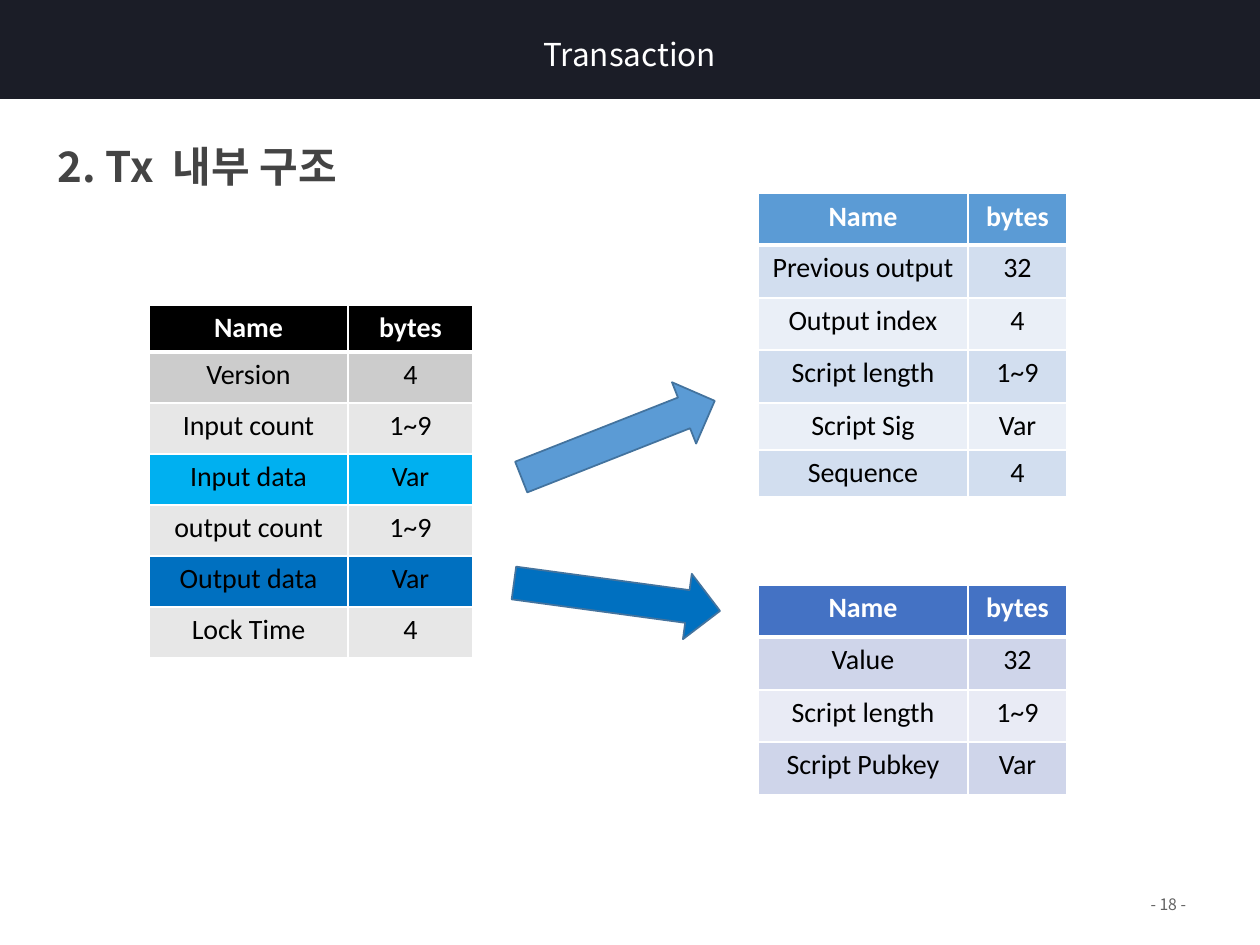
from pptx import Presentation
from pptx import util as u
from pptx.dml.color import RGBColor
from pptx.enum import shapes, text
from pptx.oxml import parse_xml
from pptx.oxml.ns import nsdecls, qn

SANS = "Noto Sans CJK KR"
BODY = "Calibri"
HEADER = ("Name", "bytes")

# left, top, column widths, row heights, header fill, banding fills, special row fills, rows
TABLES = [
    (149, 305, (199, 125), (47,) + (51,) * 6, "000000", ("CCCCCC", "E7E7E7"),
     {"Input data": "00B0F0", "Output data": "0070C0"},
     [("Version", "4"), ("Input count", "1~9"), ("Input data", "Var"),
      ("output count", "1~9"), ("Output data", "Var"), ("Lock Time", "4")]),
    (758, 193, (210, 99), (52, 53, 52, 53, 46, 46), "5B9BD5", ("D2DEEF", "EAEFF7"), {},
     [("Previous output", "32"), ("Output index", "4"), ("Script length", "1~9"),
      ("Script Sig", "Var"), ("Sequence", "4")]),
    (758, 585, (210, 99), (52, 53, 52, 53), "4472C4", ("CFD5EA", "E9EBF5"), {},
     [("Value", "32"), ("Script length", "1~9"), ("Script Pubkey", "Var")]),
]
# left, top, rotation, fill
ARROWS = [(514, 406, 338.5, "5B9BD5"), (513, 564, 7.7, "0070C0")]


def px(n):
    return u.Emu(round(n * 914400 / 126))


def rgb(hex_):
    return RGBColor.from_string(hex_)


def add_run(p, words, size, font, color, bold=False):
    r = p.add_run()
    r.text = words
    f = r.font
    f.size, f.name, f.bold = u.Pt(size), font, bold
    f.color.rgb = rgb(color)
    r._r.get_or_add_rPr().append(
        parse_xml(f'<a:ea {nsdecls("a")} typeface="{font}"/>'))
    return r


def set_frame(sp, anchor):
    """Strip margins and autofit, and return the first paragraph."""
    tf = sp.text_frame
    tf.word_wrap, tf.auto_size, tf.vertical_anchor = True, text.MSO_AUTO_SIZE.NONE, anchor
    tf.margin_left = tf.margin_top = tf.margin_right = tf.margin_bottom = 0
    return tf.paragraphs[0]


def add_box(slide, x, y, w, h, anchor=text.MSO_ANCHOR.TOP):
    return set_frame(slide.shapes.add_textbox(px(x), px(y), px(w), px(h)), anchor)


def add_shape(slide, kind, x, y, w, h, fill):
    sp = slide.shapes.add_shape(kind, px(x), px(y), px(w), px(h))
    sp.shadow.inherit = False
    sp.fill.solid()
    sp.fill.fore_color.rgb = rgb(fill)
    return sp


def set_borders(cell, top, bottom):
    """White cell borders; widths in points."""
    widths = {"lnL": 1, "lnR": 1, "lnT": top, "lnB": bottom}
    for i, (tag, width) in enumerate(widths.items()):
        cell._tc.get_or_add_tcPr().insert(i, parse_xml(
            f'<a:{tag} {nsdecls("a")} w="{u.Pt(width)}"><a:solidFill>'
            f'<a:srgbClr val="FFFFFF"/></a:solidFill></a:{tag}>'))


def add_table(slide, x, y, widths, heights, head_fill, bands, special, rows):
    t = slide.shapes.add_table(len(heights), len(widths), px(x), px(y),
                               px(sum(widths)), px(sum(heights))).table
    for col, w in zip(t.columns, widths):
        col.width = px(w)
    for i, (row, h, values) in enumerate(zip(t.rows, heights, [HEADER] + rows)):
        row.height = px(h)
        head = i == 0
        fill = head_fill if head else special.get(values[0], bands[(i - 1) % 2])
        for cell, value in zip(row.cells, values):
            cell.fill.solid()
            cell.fill.fore_color.rgb = rgb(fill)
            set_borders(cell, 3 if i == 1 else 1, 3 if head else 1)
            p = cell.text_frame.paragraphs[0]
            p.alignment = text.PP_ALIGN.CENTER
            add_run(p, value, 16, BODY, "FFFFFF" if head else "000000", head)


def main():
    prs = Presentation()
    prs.slide_width, prs.slide_height = px(1260), px(945)
    slide = prs.slides.add_slide(prs.slide_layouts[5])

    bar = add_shape(slide, shapes.MSO_SHAPE.RECTANGLE, 0, 0, 1260, 99, "1B1D27")
    bar.line.fill.background()
    title = slide.shapes.title
    title._element.addprevious(bar._element)
    title.left, title.top, title.width, title.height = px(0), px(34), px(1260), px(37)
    p = set_frame(title, text.MSO_ANCHOR.TOP)
    p.alignment, p.line_spacing = text.PP_ALIGN.CENTER, u.Pt(22)
    add_run(p, "Transaction", 18, SANS, "FFFFFF")

    p = add_box(slide, 58, 141, 908, 50)
    heading = [add_run(p, words, 24, SANS, "444444", True)
               for words in ("2. Tx", " ", "내부 구조")]
    heading[1]._r.find(qn("a:rPr")).set("spc", "500")  # wider gap before the Korean words

    p = add_box(slide, 902, 892, 284, 25, text.MSO_ANCHOR.MIDDLE)
    p.alignment = text.PP_ALIGN.RIGHT
    add_run(p, "- 18 -", 9, SANS, "626262")

    for table in TABLES:
        add_table(slide, *table)

    for x, y, angle, fill in ARROWS:
        sp = add_shape(slide, shapes.MSO_SHAPE.RIGHT_ARROW, x, y, 208, 66, fill)
        sp.rotation = angle
        sp.line.color.rgb = rgb("43739E")
        sp.line.width = u.Pt(1)

    prs.save("out.pptx")


if __name__ == "__main__":
    main()
